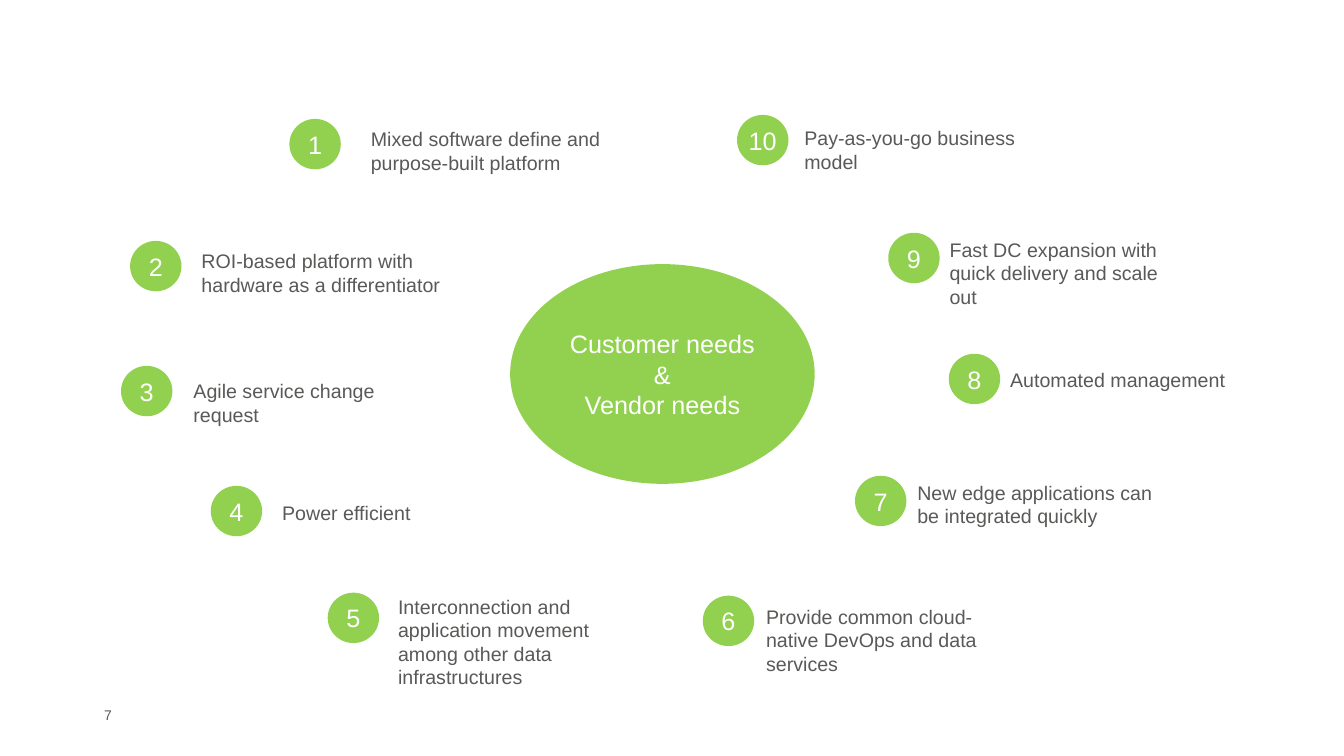
import pptx
import pptx.dml.color
import pptx.enum.shapes
import pptx.enum.text
import pptx.util

GREEN = pptx.dml.color.RGBColor(0x92, 0xD0, 0x50)
GREY = pptx.dml.color.RGBColor(0x59, 0x59, 0x57)
WHITE = pptx.dml.color.RGBColor(0xFF, 0xFF, 0xFF)

WIDTH, HEIGHT = 13.33, 7.5
COLS, ROWS = 133.3, 75
LEFT = pptx.enum.text.PP_ALIGN.LEFT
CENTER = pptx.enum.text.PP_ALIGN.CENTER
TOP = pptx.enum.text.MSO_ANCHOR.TOP
MIDDLE = pptx.enum.text.MSO_ANCHOR.MIDDLE
OVAL = pptx.enum.shapes.MSO_SHAPE.OVAL

BADGE = (5.1, 5)
FIRST_LINE, NEXT_LINE = 3.4, 2.35
NO_INSET = dict.fromkeys(
    ("margin_left", "margin_right", "margin_top", "margin_bottom"), 0)

NEEDS = [
    ((28.7, 11.8), (35.8, 12.1), 30.7, 2, "Mixed software define and purpose-built platform"),
    ((12.9, 23.9), (19, 24.2), 30.7, 2, "ROI-based platform with hardware as a differentiator"),
    ((12, 36.3), (18.2, 37.1), 25.9, 2, "Agile service change request"),
    ((20.9, 48.2), (27, 49.2), 17.1, 1, "Power efficient"),
    ((32.5, 58.8), (38.5, 58.5), 25.4, 4,
     "Interconnection and application movement among other data infrastructures"),
    ((69.7, 59.1), (75, 59.5), 25.4, 3, "Provide common cloud-native DevOps and data services"),
    ((84.8, 47.2), (90, 47.2), 25.4, 2, "New edge applications can be integrated quickly"),
    ((94.1, 35.1), (99.2, 36), 25.4, 1, "Automated management"),
    ((88.1, 23.1), (93.2, 23.1), 25.4, 3, "Fast DC expansion with quick delivery and scale out"),
    ((73.1, 11.4), (78.8, 12), 25.4, 2, "Pay-as-you-go business model"),
]


class Deck:
    """Hold the style and the current slide, and place things on its grid."""

    def __init__(self):
        self.show = pptx.Presentation()
        self.show.slide_width = pptx.util.Inches(WIDTH)
        self.show.slide_height = pptx.util.Inches(HEIGHT)
        self.slide = self.show.slides.add_slide(self.show.slide_layouts[6])
        self.font = "Arial"

    def box(self, col, row, cols, rows):
        across = self.show.slide_width / COLS
        down = self.show.slide_height / ROWS
        return [round(n) for n in (col * across, row * down, cols * across, rows * down)]

    def letter(self, shape, lines, size, color, align, anchor, **form):
        frame = shape.text_frame
        frame.text = "\n".join(lines)
        form = {"word_wrap": True, "vertical_anchor": anchor} | form
        for name, value in form.items():
            setattr(frame, name, value)
        for para in frame.paragraphs:
            para.alignment = align
            para.font.color.rgb = color
            for name, value in {"name": self.font, "size": pptx.util.Pt(size)}.items():
                setattr(para.font, name, value)

    def text(self, place, words, size=14, align=LEFT, anchor=TOP):
        shape = self.slide.shapes.add_textbox(*self.box(*place))
        self.letter(shape, [words], size, GREY, align, anchor)

    def oval(self, place, lines, **form):
        shape = self.slide.shapes.add_shape(OVAL, *self.box(*place))
        shape.shadow.inherit = False
        shape.fill.solid()
        shape.fill.fore_color.rgb = GREEN
        shape.line.fill.background()
        self.letter(shape, lines, 18, WHITE, CENTER, MIDDLE, **form)


def main():
    deck = Deck()
    deck.text((7.9, 69.3, 5.6, 3.3), "7", 10, CENTER, MIDDLE)
    deck.oval((50.6, 26.2, 30.2, 21.8), ["Customer needs &", "Vendor needs"])
    for count, (badge, label, cols, lines, words) in enumerate(NEEDS, 1):
        deck.oval((*badge, *BADGE), [str(count)], **NO_INSET | {"word_wrap": False})
        deck.text((*label, cols, FIRST_LINE + NEXT_LINE * (lines - 1)), words)
    deck.show.save("out.pptx")


if __name__ == "__main__":
    main()
